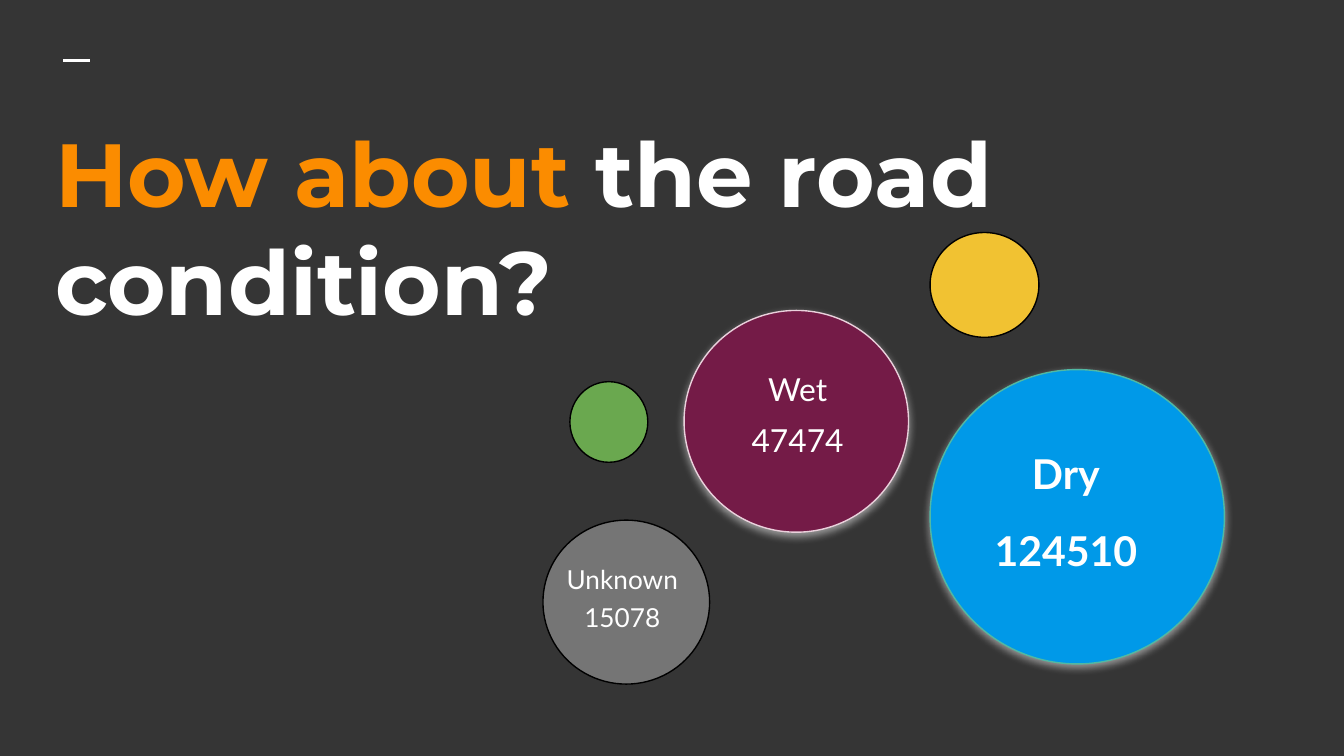
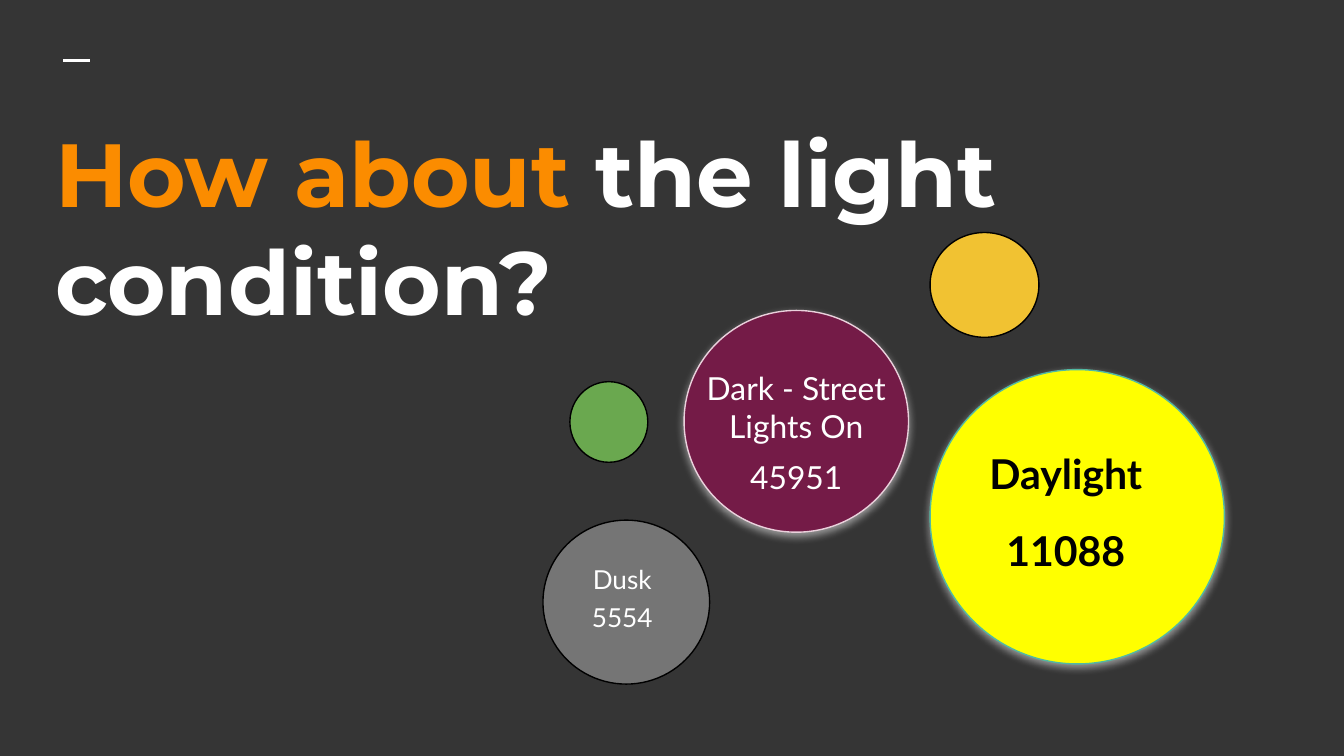
from lxml import etree
from pptx import Presentation
from pptx import util as u
from pptx.dml.color import RGBColor
from pptx.enum import shapes, text
from pptx.oxml.ns import qn

INK = {
    "back": "353535", "white": "FFFFFF", "black": "000000", "orange": "FB8C00",
    "blue": "0099E8", "bright": "FFFF00", "teal": "51B9A3", "plum": "741B47",
    "pink": "EAD1DC", "gray": "757575", "gold": "F1C232", "green": "6AA84F",
}

BIG = (7.02, 3.24, 1.82, 1.22)
MID = (5.36, 2.65, 1.15, 0.88)
WIDE = (5.09, 2.64, 1.67, 1.22)
LOW = (3.92, 4.09, 1.42, 0.7)

CIRCLES = [
    {"at": (6.92, 2.75, 2.19, 2.19), "line": "teal", "glow": True, "size": 22, "bold": True, "gap": 14.4},
    {"at": (5.09, 2.31, 1.67, 1.65), "fill": "plum", "line": "pink", "glow": True, "size": 17, "gap": 7.2},
    {"at": (4.04, 3.87, 1.24, 1.22), "fill": "gray", "size": 14, "gap": 3.6},
    {"at": (6.92, 1.73, 0.81, 0.78), "fill": "gold"},
    {"at": (4.24, 2.84, 0.58, 0.6), "fill": "green"},
]

SLIDES = [
    {"topic": " the road condition?", "fill": "blue", "ink": "white",
     "labels": [(BIG, "Dry", "124510"), (MID, "Wet", "47474"), (LOW, "Unknown", "15078")]},
    {"topic": " the light condition?", "fill": "bright", "ink": "black",
     "labels": [(BIG, "Daylight", "11088"), (WIDE, "Dark - Street Lights On", "45951"),
                (LOW, "Dusk", "5554")]},
]


def tint(name):
    return RGBColor.from_string(INK[name])


def place(shape, at):
    shape.left, shape.top, shape.width, shape.height = map(u.Inches, at)


def setup(frame):
    frame.word_wrap = True
    frame.auto_size = text.MSO_AUTO_SIZE.NONE
    frame.vertical_anchor = text.MSO_ANCHOR.TOP
    frame.margin_left = frame.margin_right = u.Inches(0.1)
    frame.margin_top = frame.margin_bottom = u.Inches(0.1)


def write(para, words, font, size, ink, bold=False):
    run = para.add_run()
    run.text = words
    run.font.name = font
    run.font.size = u.Pt(size)
    run.font.bold = bold
    run.font.color.rgb = tint(ink)


def glow(shape):
    effects = shape._element.spPr.find(qn("a:effectLst"))
    outer = etree.SubElement(effects, qn("a:outerShdw"), blurRad=str(u.Pt(4.5)),
                             dist=str(u.Pt(1.5)), dir="5400000", algn="bl", rotWithShape="0")
    color = etree.SubElement(outer, qn("a:srgbClr"), val=INK["white"])
    etree.SubElement(color, qn("a:alpha"), val="50000")


def circle(slide, part, fill):
    oval = slide.shapes.add_shape(shapes.MSO_SHAPE.OVAL, *map(u.Inches, part["at"]))
    oval.shadow.inherit = False
    oval.fill.solid()
    oval.fill.fore_color.rgb = tint(fill)
    oval.line.color.rgb = tint(part.get("line", "black"))
    oval.line.width = u.Pt(0.75)
    if part.get("glow"):
        glow(oval)


def label(slide, part, at, lines, ink):
    frame = slide.shapes.add_textbox(*map(u.Inches, at)).text_frame
    setup(frame)
    for i, words in enumerate(lines):
        para = frame.add_paragraph() if i else frame.paragraphs[0]
        para.alignment = text.PP_ALIGN.CENTER
        para.space_before = u.Pt(part["gap"] if i else 0)
        write(para, words, "Lato", part["size"], ink, part.get("bold", False))


def header(slide, topic):
    dash = slide.shapes.add_connector(
        shapes.MSO_CONNECTOR.STRAIGHT, *map(u.Inches, (0.47, 0.45, 0.67, 0.45)))
    dash.line.color.rgb = tint("white")
    dash.line.width = u.Pt(1.5)
    etree.SubElement(dash._element.spPr, qn("a:effectLst"))
    title = slide.shapes.title
    place(title, (0.31, 0.78, 9.43, 4.19))
    setup(title.text_frame)
    para = title.text_frame.paragraphs[0]
    para.alignment = text.PP_ALIGN.LEFT
    para.space_before = u.Pt(0)
    write(para, "How about", "Montserrat", 48, "orange", True)
    write(para, topic, "Montserrat", 48, "white", True)


deck = Presentation()
deck.slide_width = u.Inches(10)
deck.slide_height = u.Inches(10) * 9 // 16
back = deck.slide_master.background.fill
back.solid()
back.fore_color.rgb = tint("back")

for page in SLIDES:
    slide = deck.slides.add_slide(deck.slide_layouts[5])
    header(slide, page["topic"])
    for i, part in enumerate(CIRCLES):
        circle(slide, part, part.get("fill", page["fill"]))
        if i < len(page["labels"]):
            at, *lines = page["labels"][i]
            label(slide, part, at, lines, "white" if i else page["ink"])

deck.save("out.pptx")
